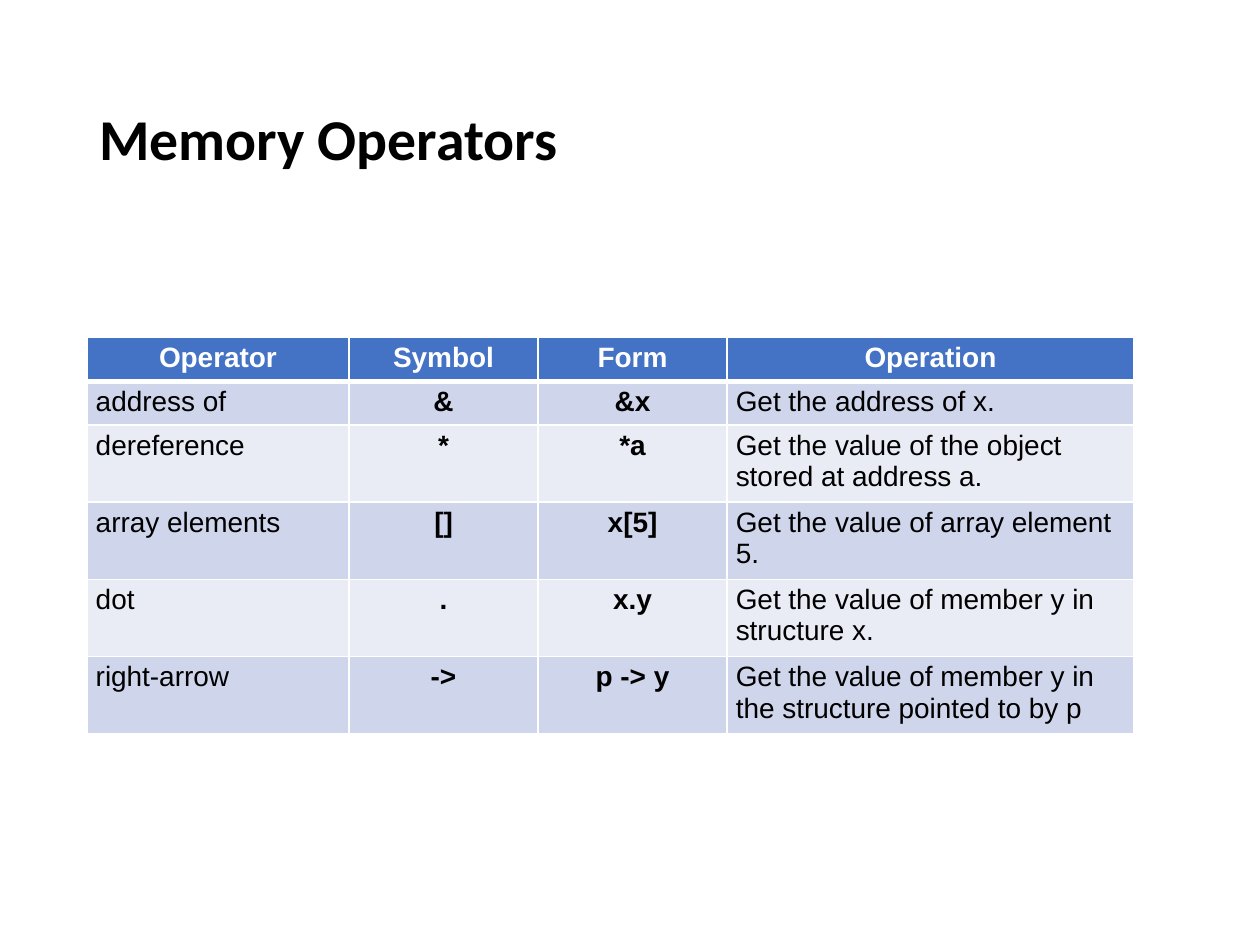
import pptx
import pptx.dml.color
import pptx.enum.text
import pptx.oxml.ns
import pptx.util
from lxml import etree
from pptx.util import Inches

TITLE = "Memory Operators"
HEADINGS = ("Operator", "Symbol", "Form", "Operation")
OPERATORS = [
    ("address of", "&", "&x", "Get the address of x."),
    ("dereference", "*", "*a", "Get the value of the object stored at address a."),
    ("array elements", "[]", "x[5]", "Get the value of array element 5."),
    ("dot", ".", "x.y", "Get the value of member y in structure x."),
    ("right-arrow", "->", "p -> y",
     "Get the value of member y in the structure pointed to by p"),
]
COLUMN_WIDTHS = (2.08, 1.5, 1.5, 3.23)
ROW_HEIGHTS = (0.3, 0.3, 0.3, 0.3, 0.3, 0.41)
CENTERED_COLUMNS = (1, 2)
HEADER_FILL = "4472C4"
BAND_FILLS = ("CFD5EA", "E9EBF5")
WHITE, BLACK = "FFFFFF", "000000"
LEFT = 0.69


def rgb(value):
    return pptx.dml.color.RGBColor.from_string(value)


def style_font(paragraph, name, size, color, bold):
    font = paragraph.font
    font.name, font.size, font.bold = name, pptx.util.Pt(size), bold
    font.color.rgb = rgb(color)


def add_border(cell, side, points):
    qn = pptx.oxml.ns.qn
    properties = cell._tc.get_or_add_tcPr()
    line = etree.SubElement(properties, qn(f"a:ln{side}"), w=str(pptx.util.Pt(points)))
    fill = etree.SubElement(line, qn("a:solidFill"))
    etree.SubElement(fill, qn("a:srgbClr"), val=WHITE)


def add_title(slide):
    title = slide.shapes.add_textbox(Inches(LEFT), Inches(0.4), Inches(8.62), Inches(1.45))
    frame = title.text_frame
    frame.word_wrap = True
    frame.vertical_anchor = pptx.enum.text.MSO_ANCHOR.MIDDLE
    frame.text = TITLE
    heading = frame.paragraphs[0]
    heading.line_spacing = 0.9
    style_font(heading, "Calibri", 33, BLACK, True)


def fill_cell(cell, text, row, column):
    is_header = row == 0
    is_centered = is_header or column in CENTERED_COLUMNS
    for side in "LRTB":
        under_header = (row, side) in ((0, "B"), (1, "T"))
        add_border(cell, side, 3 if under_header else 1)
    cell.fill.solid()
    cell.fill.fore_color.rgb = rgb(HEADER_FILL if is_header else BAND_FILLS[(row - 1) % 2])
    cell.margin_left = cell.margin_right = Inches(0.07)
    cell.margin_top = cell.margin_bottom = Inches(0.04)
    cell.text = text
    paragraph = cell.text_frame.paragraphs[0]
    if is_centered:
        paragraph.alignment = pptx.enum.text.PP_ALIGN.CENTER
    style_font(paragraph, "Arial", 16, WHITE if is_header else BLACK, is_centered)


def add_operator_table(slide):
    rows = [HEADINGS, *OPERATORS]
    table = slide.shapes.add_table(
        len(rows), len(HEADINGS), Inches(LEFT), Inches(2.68),
        Inches(sum(COLUMN_WIDTHS)), Inches(sum(ROW_HEIGHTS))).table
    for column, width in zip(table.columns, COLUMN_WIDTHS):
        column.width = Inches(width)
    for row, height in zip(table.rows, ROW_HEIGHTS):
        row.height = Inches(height)
    for r, texts in enumerate(rows):
        for c, text in enumerate(texts):
            fill_cell(table.cell(r, c), text, r, c)


def main():
    deck = pptx.Presentation()
    deck.slide_width, deck.slide_height = Inches(10), Inches(7.5)
    slide = deck.slides.add_slide(deck.slide_layouts[6])
    add_title(slide)
    add_operator_table(slide)
    deck.save("out.pptx")


if __name__ == "__main__":
    main()
